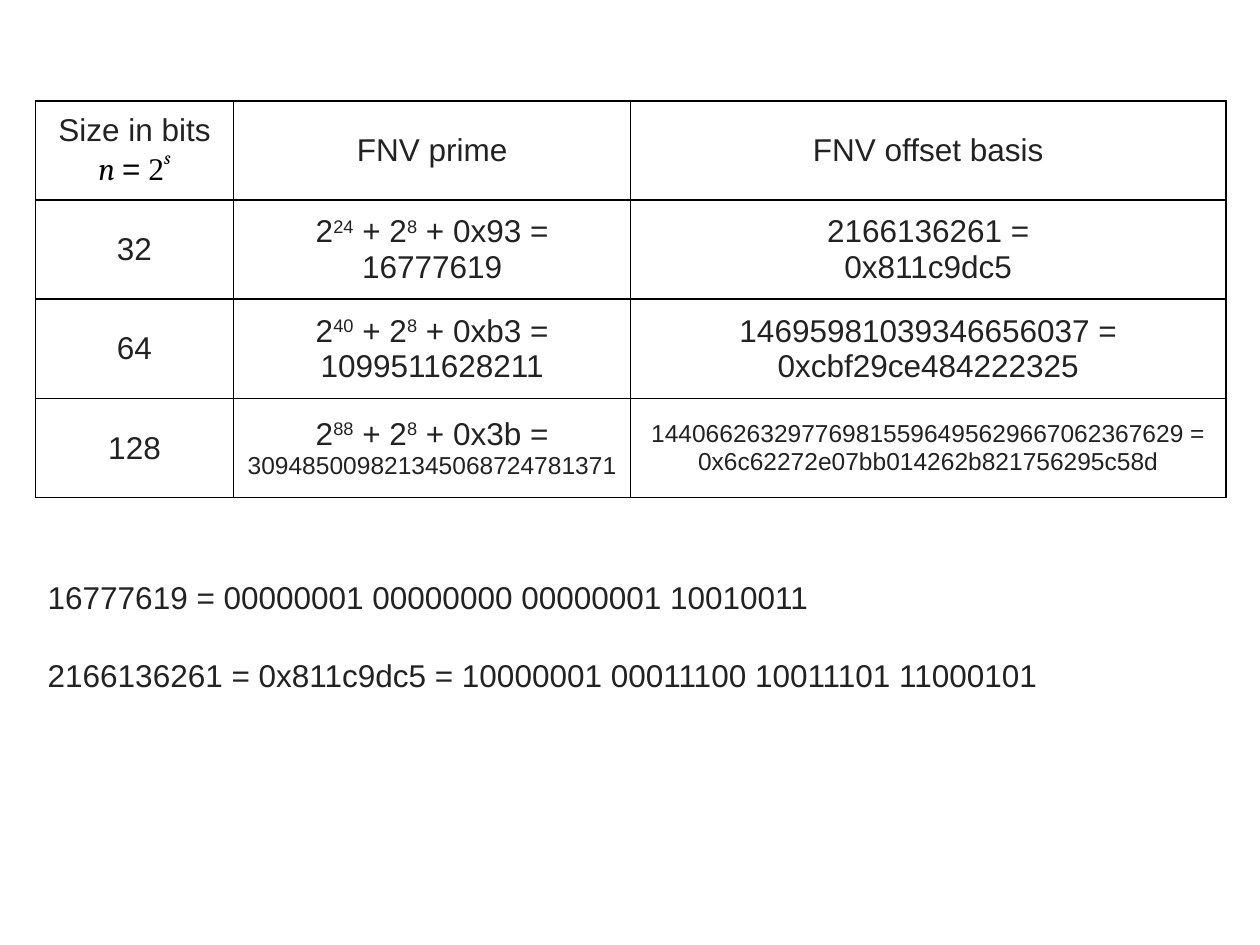
from copy import deepcopy
from dataclasses import dataclass

from lxml.etree import SubElement
from pptx import Presentation
from pptx.dml.color import RGBColor
from pptx.enum.text import MSO_ANCHOR, PP_ALIGN
from pptx.oxml.ns import qn
from pptx.util import Inches, Pt


@dataclass(frozen=True)
class Theme:
    body_font: str = "Arial"
    variable_font: str = "Cambria"
    number_font: str = "Times New Roman"
    text: str = "222222"
    ink: str = "000000"
    body_size: int = 18
    small_size: int = 14
    border_width: float = 1
    paragraph_gap: float = 22.7


THEME = Theme()


@dataclass(frozen=True)
class TextRun:
    text: str
    size: int = THEME.body_size
    font: str = THEME.body_font
    color: str = THEME.text
    italic: bool = False
    raised: int = 0  # percent above the baseline


@dataclass(frozen=True)
class HashSize:
    bits: str
    exponent: str
    tail: str
    prime: str
    basis: str
    basis_hex: str
    long_size: int = THEME.body_size


Line = list[TextRun]

SLIDE_WIDTH, SLIDE_HEIGHT = 10, 7.5
LEFT, CONTENT_WIDTH = 0.28, 9.45
TABLE_TOP, ROW_HEIGHT = 0.8, 0.7875
COLUMN_SHARES = (1 / 6, 2 / 6, 3 / 6)
NOTES_TOP, NOTES_HEIGHT = 4.54, 0.98

HASH_SIZES = [
    HashSize("32", "24", "0x93", "16777619", "2166136261", "0x811c9dc5"),
    HashSize("64", "40", "0xb3", "1099511628211",
             "14695981039346656037", "0xcbf29ce484222325"),
    HashSize("128", "88", "0x3b", "309485009821345068724781371",
             "144066263297769815596495629667062367629",
             "0x6c62272e07bb014262b821756295c58d", THEME.small_size),
]
BINARY_NOTES = [
    "16777619 = 00000001 00000000 00000001 10010011",
    "2166136261 = 0x811c9dc5 = 10000001 00011100 10011101 11000101",
]


def header_cells() -> list[list[Line]]:
    formula = [
        TextRun("n ", font=THEME.variable_font, color=THEME.ink, italic=True),
        TextRun("=", color=THEME.ink),
        TextRun(" 2", font=THEME.number_font, color=THEME.ink),
        TextRun("s", font=THEME.variable_font, color=THEME.ink, italic=True, raised=50),
    ]
    return [
        [[TextRun("Size in bits")], formula],
        [[TextRun("FNV prime")]],
        [[TextRun("FNV offset basis")]],
    ]


def hash_cells(entry: HashSize) -> list[list[Line]]:
    power_sum = [
        TextRun("2"), TextRun(entry.exponent, raised=30),
        TextRun(" + 2"), TextRun("8", raised=30),
        TextRun(f" + {entry.tail} ="),
    ]
    return [
        [[TextRun(entry.bits)]],
        [power_sum, [TextRun(entry.prime, entry.long_size)]],
        [[TextRun(f"{entry.basis} =", entry.long_size)],
         [TextRun(entry.basis_hex, entry.long_size)]],
    ]


def add_text_run(paragraph, item: TextRun):
    run = paragraph.add_run()
    run.text = item.text
    run.font.size = Pt(item.size)
    run.font.name = item.font
    run.font.italic = item.italic
    run.font.color.rgb = RGBColor.from_string(item.color)
    if item.raised:
        run.font._element.set("baseline", str(item.raised * 1000))
    return run


def add_lines(paragraph, lines: list[Line]) -> None:
    """Write lines into one paragraph; each break takes the format of the run before it."""
    for index, line in enumerate(lines):
        if index:
            paragraph.add_line_break()
            paragraph._p[-1].append(deepcopy(run.font._element))
        for item in line:
            run = add_text_run(paragraph, item)


def set_borders(cell) -> None:
    properties = cell._tc.get_or_add_tcPr()
    for side in ("a:lnL", "a:lnR", "a:lnT", "a:lnB"):
        border = SubElement(properties, qn(side), w=str(Pt(THEME.border_width)))
        fill = SubElement(border, qn("a:solidFill"))
        SubElement(fill, qn("a:srgbClr"), val=THEME.ink)


def add_hash_table(slide) -> None:
    rows = [header_cells()] + [hash_cells(entry) for entry in HASH_SIZES]
    frame = slide.shapes.add_table(
        len(rows), len(COLUMN_SHARES), Inches(LEFT), Inches(TABLE_TOP),
        Inches(CONTENT_WIDTH), Inches(ROW_HEIGHT * len(rows)))
    table = frame.table
    table.first_row = table.horz_banding = False
    for column, share in zip(table.columns, COLUMN_SHARES):
        column.width = Inches(CONTENT_WIDTH * share)
    for table_row, row in zip(table.rows, rows):
        table_row.height = Inches(ROW_HEIGHT)
        for cell, lines in zip(table_row.cells, row):
            cell.vertical_anchor = MSO_ANCHOR.MIDDLE
            set_borders(cell)
            cell.fill.background()
            paragraph = cell.text_frame.paragraphs[0]
            paragraph.alignment = PP_ALIGN.CENTER
            add_lines(paragraph, lines)


def add_binary_notes(slide) -> None:
    box = slide.shapes.add_textbox(
        Inches(LEFT), Inches(NOTES_TOP), Inches(CONTENT_WIDTH), Inches(NOTES_HEIGHT))
    text_frame = box.text_frame
    text_frame.word_wrap = True
    for index, note in enumerate(BINARY_NOTES):
        paragraph = text_frame.add_paragraph() if index else text_frame.paragraphs[0]
        if index:
            paragraph.space_before = Pt(THEME.paragraph_gap)
        add_text_run(paragraph, TextRun(note))


def main() -> None:
    presentation = Presentation()
    presentation.slide_width = Inches(SLIDE_WIDTH)
    presentation.slide_height = Inches(SLIDE_HEIGHT)
    slide = presentation.slides.add_slide(presentation.slide_layouts[6])
    add_hash_table(slide)
    add_binary_notes(slide)
    presentation.save("out.pptx")


if __name__ == "__main__":
    main()
